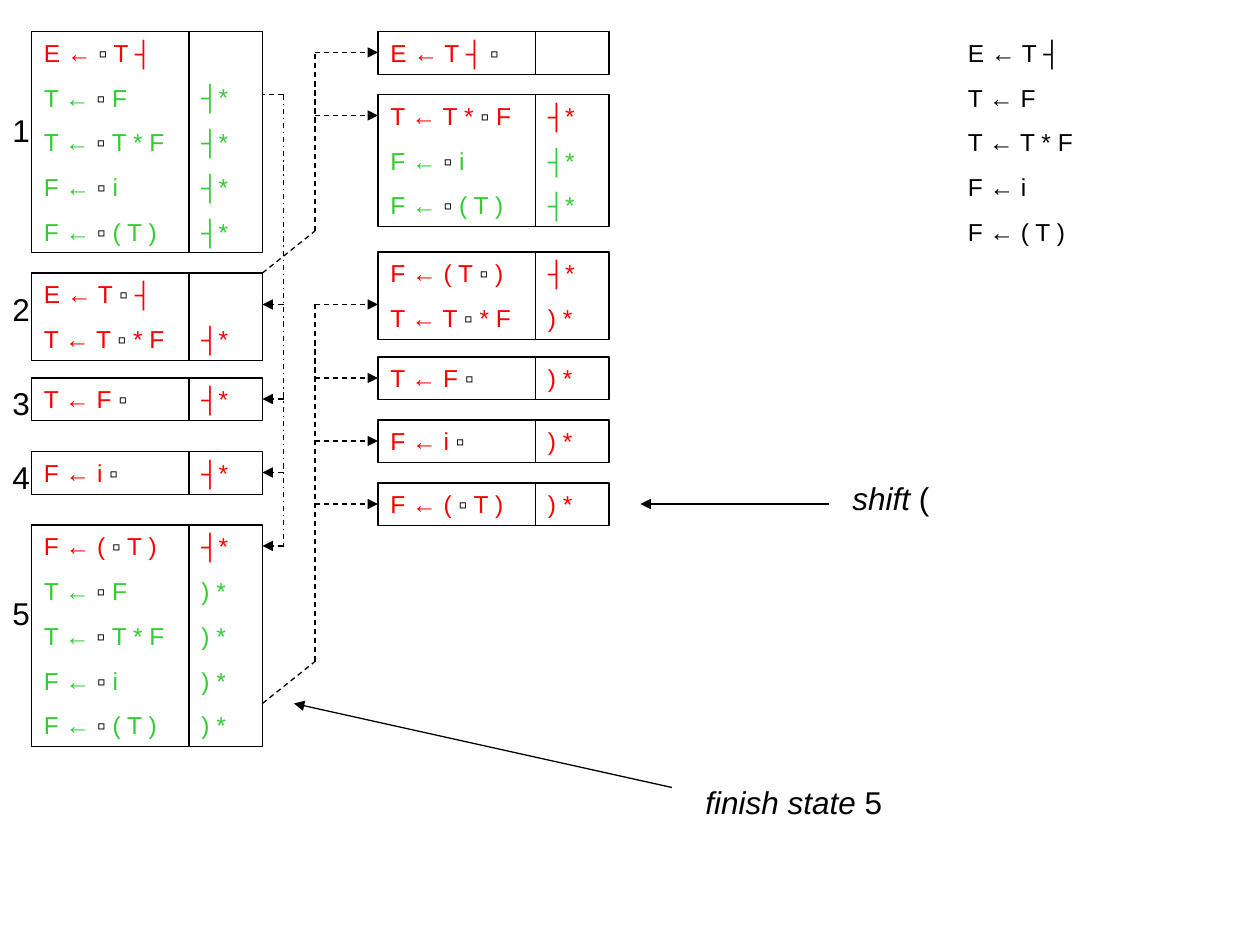
from lxml import etree
from pptx import Presentation
from pptx import util as u
from pptx.dml.color import RGBColor
from pptx.enum import dml, shapes, text
from pptx.oxml.ns import qn

COLORS = {"ink": "000000", "kernel": "FF0000", "closure": "33CC33"}
FONT = "Arial"
MARKER = "▫"
ITEM_WIDTH, LOOKAHEAD_WIDTH = 90, 42
ROW_PITCH, ROW_HEIGHT, ROW_GAP = 25.5, 24.5, 8.8
INSET_X, INSET_Y = 7.2, 3.6
LEFT, RIGHT = 18, 216
EDGE, RETURN_X, BRANCH_X = LEFT + ITEM_WIDTH + LOOKAHEAD_WIDTH, 162, 180

GRAMMAR = ["E ← T ┤", "T ← F", "T ← T * F", "F ← i", "F ← ( T )"]
CLOSURE = ["T ← ▫ F", "T ← ▫ T * F", "F ← ▫ i", "F ← ▫ ( T )"]

# left, top, number of kernel items, items, lookaheads
STATES = [
    (LEFT, 18, 1, ["E ← ▫ T ┤"] + CLOSURE, [""] + ["┤*"] * 4),
    (LEFT, 156, 2, ["E ← T ▫ ┤", "T ← T ▫ * F"], ["", "┤*"]),
    (LEFT, 216, 1, ["T ← F ▫"], ["┤*"]),
    (LEFT, 258, 1, ["F ← i ▫"], ["┤*"]),
    (LEFT, 300, 1, ["F ← ( ▫ T )"] + CLOSURE, ["┤*"] + [") *"] * 4),
    (RIGHT, 18, 1, ["E ← T ┤ ▫"], [""]),
    (RIGHT, 54, 1, ["T ← T * ▫ F"] + CLOSURE[2:], ["┤*"] * 3),
    (RIGHT, 144, 2, ["F ← ( T ▫ )", "T ← T ▫ * F"], ["┤*", ") *"]),
    (RIGHT, 204, 1, ["T ← F ▫"], [") *"]),
    (RIGHT, 240, 1, ["F ← i ▫"], [") *"]),
    (RIGHT, 276, 1, ["F ← ( ▫ T )"], [") *"]),
]
STATE_NUMBERS = [("1", 60), ("2", 162), ("3", 216), ("4", 258), ("5", 336)]
CAPTIONS = [
    (480, 270, 186, "shift ", "("),
    (396, 444, 180, "finish state", " 5"),
]
CAPTION_ARROWS = [(474, 288, 366, 288), (384, 450, 168, 402)]
RETURN_START, RETURN_ARROWS = 54, [174, 228, 270, 312]
# exit y, bend y, arrow ys
BRANCHES = [(156, 132, [30, 66]), (402, 378, [174, 216, 252, 288])]


def color(name):
    return RGBColor.from_string(COLORS[name])


def prepare_frame(shape, skipped_rows=0):
    frame = shape.text_frame
    frame.word_wrap = True
    frame.vertical_anchor = text.MSO_ANCHOR.TOP
    frame.margin_left = frame.margin_right = u.Pt(INSET_X)
    frame.margin_top = u.Pt(INSET_Y + skipped_rows * ROW_PITCH)
    frame.margin_bottom = u.Pt(INSET_Y)
    return frame


def style_paragraph(paragraph, size, color_name):
    paragraph.alignment = text.PP_ALIGN.LEFT
    paragraph.font.name = FONT
    paragraph.font.size = u.Pt(size)
    paragraph.font.color.rgb = color(color_name)


def write_rows(frame, rows):
    for index, (row, color_name) in enumerate(rows):
        paragraph = frame.add_paragraph() if index else frame.paragraphs[0]
        if index:
            paragraph.space_before = u.Pt(ROW_GAP)
        style_paragraph(paragraph, 14, color_name)
        for part in row.partition(MARKER):
            if part:
                run = paragraph.add_run()
                run.text = part
                run.font.color.rgb = color("ink" if part == MARKER else color_name)


def add_cell(group, left, top, width, rows):
    height = ROW_HEIGHT + (len(rows) - 1) * ROW_PITCH
    shape = group.shapes.add_shape(
        shapes.MSO_SHAPE.RECTANGLE, u.Pt(left), u.Pt(top), u.Pt(width), u.Pt(height))
    shape.shadow.inherit = False
    shape.fill.background()
    shape.line.color.rgb = color("ink")
    shape.line.width = u.Pt(0.75)
    filled = [row for row in rows if row[0]]
    if filled:
        write_rows(prepare_frame(shape, len(rows) - len(filled)), filled)


def add_state(slide, left, top, kernel_count, items, lookaheads):
    group = slide.shapes.add_group_shape()
    row_colors = ["kernel"] * kernel_count + ["closure"] * (len(items) - kernel_count)
    add_cell(group, left, top, ITEM_WIDTH, list(zip(items, row_colors)))
    add_cell(group, left + ITEM_WIDTH, top, LOOKAHEAD_WIDTH,
             list(zip(lookaheads, row_colors)))


def add_text_box(slide, left, top, width, height):
    return prepare_frame(slide.shapes.add_textbox(
        u.Pt(left), u.Pt(top), u.Pt(width), u.Pt(height)))


def add_label(slide, left, top, width, emphasis, plain):
    paragraph = add_text_box(slide, left, top, width, 29).paragraphs[0]
    style_paragraph(paragraph, 18, "ink")
    for words, italic in ((emphasis, True), (plain, False)):
        if words:
            run = paragraph.add_run()
            run.text = words
            run.font.italic = italic


def add_line(slide, points, dash=None, arrow=False):
    connector = slide.shapes.add_connector(
        shapes.MSO_CONNECTOR.STRAIGHT, *[u.Pt(value) for value in points])
    connector.line.color.rgb = color("ink")
    connector.line.width = u.Pt(0.75)
    if dash:
        connector.line.dash_style = dash
    properties = connector._element.spPr
    if arrow:
        etree.SubElement(properties.find(qn("a:ln")), qn("a:tailEnd"), type="triangle")
    etree.SubElement(properties, qn("a:effectLst"))


def add_transitions(slide):
    dash = dml.MSO_LINE.DASH
    add_line(slide, (RETURN_X, RETURN_START, EDGE, RETURN_START), dash)
    add_line(slide, (RETURN_X, RETURN_START, RETURN_X, RETURN_ARROWS[-1]),
             dml.MSO_LINE.DASH_DOT)
    for y in RETURN_ARROWS:
        add_line(slide, (RETURN_X, y, EDGE, y), dash, arrow=True)
    for exit_y, bend_y, arrow_ys in BRANCHES:
        add_line(slide, (EDGE, exit_y, BRANCH_X, bend_y), dash)
        add_line(slide, (BRANCH_X, bend_y, BRANCH_X, arrow_ys[0]), dash)
        for y in arrow_ys:
            add_line(slide, (BRANCH_X, y, RIGHT, y), dash, arrow=True)


def main():
    presentation = Presentation()
    presentation.slide_width, presentation.slide_height = u.Pt(720), u.Pt(540)
    slide = presentation.slides.add_slide(presentation.slide_layouts[6])
    write_rows(add_text_box(slide, 546, 18, 102, 126.5),
               [(rule, "ink") for rule in GRAMMAR])
    for state in STATES:
        add_state(slide, *state)
    for number, top in STATE_NUMBERS:
        add_label(slide, 0, top, 24, "", number)
    for caption in CAPTIONS:
        add_label(slide, *caption)
    for points in CAPTION_ARROWS:
        add_line(slide, points, arrow=True)
    add_transitions(slide)
    presentation.save("out.pptx")


if __name__ == "__main__":
    main()
